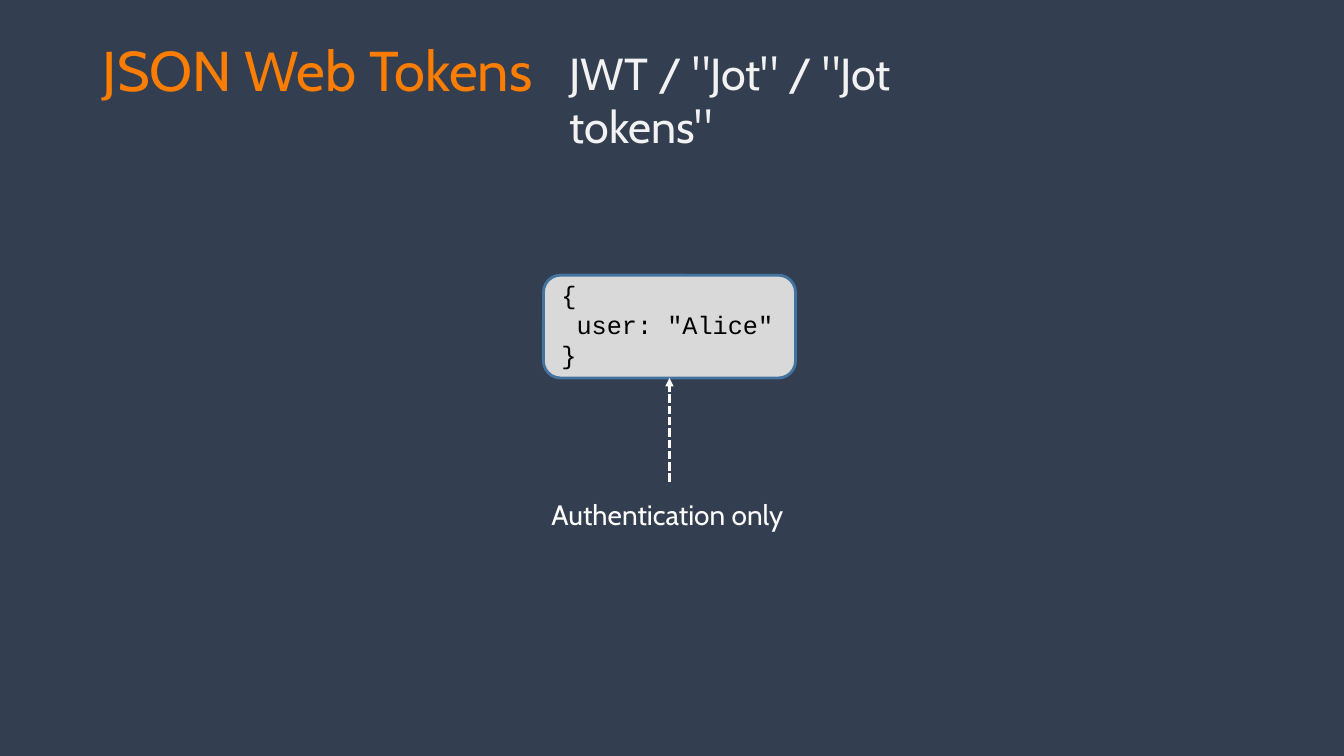
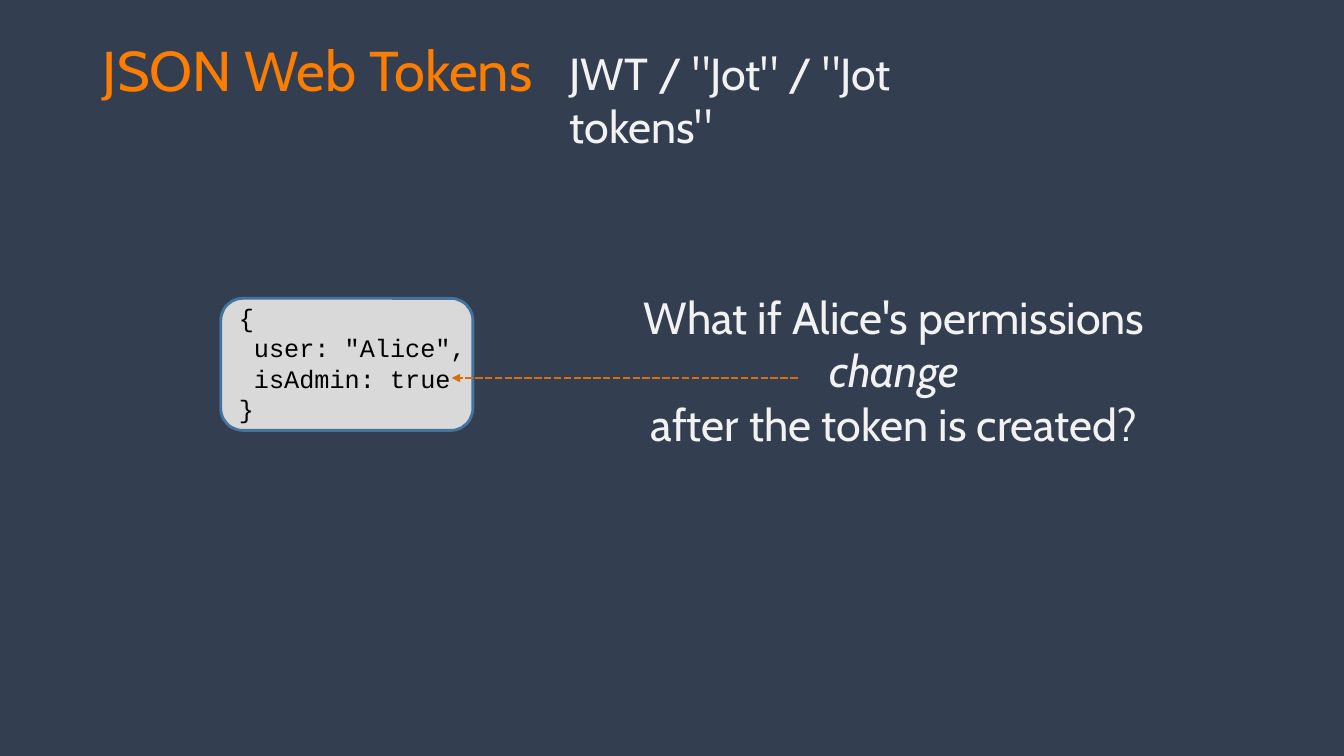
from dataclasses import dataclass

from lxml import etree
from pptx import Presentation
from pptx.dml.color import RGBColor
from pptx.enum.dml import MSO_LINE
from pptx.enum.shapes import MSO_CONNECTOR, MSO_SHAPE
from pptx.enum.text import MSO_ANCHOR, MSO_AUTO_SIZE, PP_ALIGN
from pptx.oxml.ns import qn
from pptx.util import Inches, Pt


@dataclass(frozen=True)
class Theme:
    background: str = "333F50"
    title: str = "FD7D00"
    soft_white: str = "F2F2F2"
    white: str = "FFFFFF"
    card: str = "D9D9D9"
    card_line: str = "43739E"
    code: str = "000000"
    accent: str = "D37011"
    body_font: str = "Cabin"
    code_font: str = "Courier New"
    title_size: int = 40
    large_size: int = 32
    label_size: int = 20
    code_size: int = 18


T = Theme()

TITLE = "JSON Web Tokens"
SUBTITLE = 'JWT / "Jot" / "Jot tokens"'
TITLE_BOX = (0.92, 0.3, 6.98, 0.77)
SUBTITLE_BOX = (5.55, 0.4, 4.67, 0.64)

USER_TOKEN = ["{", ' user: "Alice"', "}"]
ADMIN_TOKEN = ["{", ' user: "Alice",', " isAdmin: true", "}"]
AUTH_LABEL = ["Authentication only"]
QUESTION = ["What if Alice's permissions", "change", "after the token is created?"]

TITLE_STYLE = dict(name=T.body_font, size=T.title_size, color=T.title)
LARGE_STYLE = dict(name=T.body_font, size=T.large_size, color=T.soft_white)
LABEL_STYLE = dict(name=T.body_font, size=T.label_size, color=T.white)
CODE_STYLE = dict(name=T.code_font, size=T.code_size, color=T.code)

CARD_W = 2.5
CODE_INDENT = 0.08


def rgb(value):
    return RGBColor.from_string(value)


def write(sp, lines, style, align=PP_ALIGN.LEFT, italic=()):
    tf = sp.text_frame
    frame_format = dict(word_wrap=True, auto_size=MSO_AUTO_SIZE.NONE,
                        vertical_anchor=MSO_ANCHOR.TOP)
    for name, value in frame_format.items():
        setattr(tf, name, value)
    for i, line in enumerate(lines):
        p = tf.paragraphs[0] if i == 0 else tf.add_paragraph()
        p.alignment = align
        r = p.add_run()
        r.text = line
        font_format = dict(name=style["name"], size=Pt(style["size"]),
                           italic=line in italic)
        for name, value in font_format.items():
            setattr(r.font, name, value)
        r.font.color.rgb = rgb(style["color"])


def add_text(slide, box, lines, style, **options):
    sp = slide.shapes.add_textbox(*map(Inches, box))
    write(sp, lines, style, **options)
    return sp


def add_token(slide, left, top, height, lines):
    """Draw a rounded card with the token's code on it; return the card."""
    card = slide.shapes.add_shape(MSO_SHAPE.ROUNDED_RECTANGLE,
                                  *map(Inches, (left, top, CARD_W, height)))
    card.shadow.inherit = False
    card.fill.solid()
    card.fill.fore_color.rgb = rgb(T.card)
    card.line.color.rgb = rgb(T.card_line)
    card.line.width = Pt(2)
    add_text(slide, (left + CODE_INDENT, top - 0.01, CARD_W + 0.16, height),
             lines, CODE_STYLE)
    return card


def add_arrow(slide, start, end, color, width):
    """Draw a dashed line with an arrowhead at its end."""
    line = slide.shapes.add_connector(MSO_CONNECTOR.STRAIGHT,
                                      *map(Inches, start + end))
    line.line.color.rgb = rgb(color)
    line.line.width = Pt(width)
    line.line.dash_style = MSO_LINE.SQUARE_DOT
    sp_pr = line._element.spPr
    etree.SubElement(sp_pr.find(qn("a:ln")), qn("a:tailEnd"), type="triangle")
    etree.SubElement(sp_pr, qn("a:effectLst"))
    return line


def add_slide(prs):
    slide = prs.slides.add_slide(prs.slide_layouts.get_by_name("Title Only"))
    title = slide.shapes.title
    title.left, title.top, title.width, title.height = map(Inches, TITLE_BOX)
    write(title, [TITLE], TITLE_STYLE)
    add_text(slide, SUBTITLE_BOX, [SUBTITLE], LARGE_STYLE)
    return slide


def build_authentication(prs):
    slide = add_slide(prs)
    card = add_token(slide, 5.39, 2.73, 1.02, USER_TOKEN)
    arrow = add_arrow(slide, (6.64, 4.78), (6.64, 3.75), T.white, 2)
    arrow.end_connect(card, 2)
    add_text(slide, (4.67, 4.89, 3.9, 0.44), AUTH_LABEL, LABEL_STYLE,
             align=PP_ALIGN.CENTER)


def build_permissions(prs):
    slide = add_slide(prs)
    add_text(slide, (4.86, 2.82, 8.02, 1.72), QUESTION, LARGE_STYLE,
             align=PP_ALIGN.CENTER, italic=("change",))
    add_token(slide, 2.19, 2.96, 1.31, ADMIN_TOKEN)
    add_arrow(slide, (7.91, 3.75), (4.48, 3.75), T.accent, 1.75)


def main():
    prs = Presentation()
    prs.slide_width, prs.slide_height = Inches(13.33), Inches(7.5)
    fill = prs.slide_master.background.fill
    fill.solid()
    fill.fore_color.rgb = rgb(T.background)
    build_authentication(prs)
    build_permissions(prs)
    prs.save("out.pptx")


if __name__ == "__main__":
    main()
